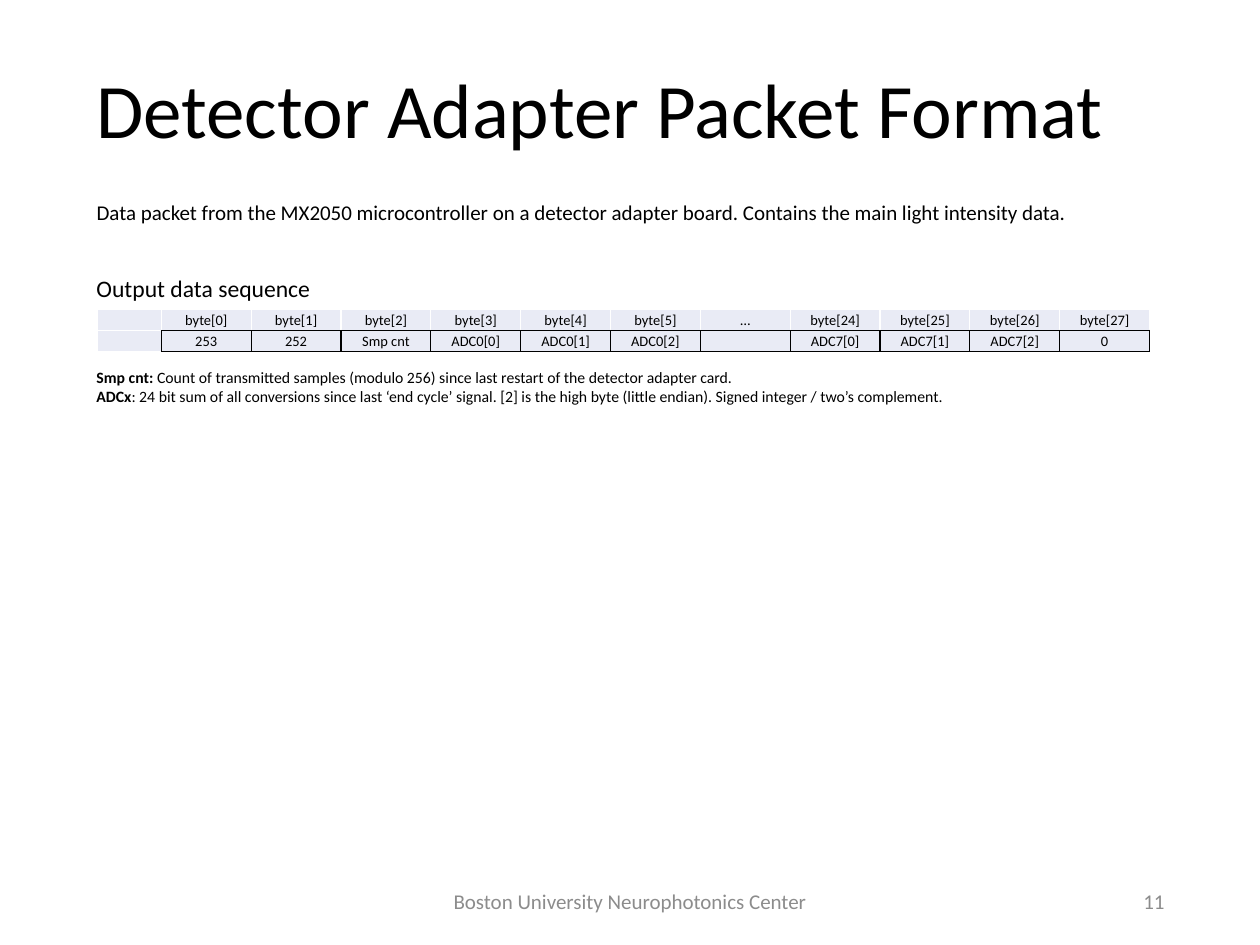
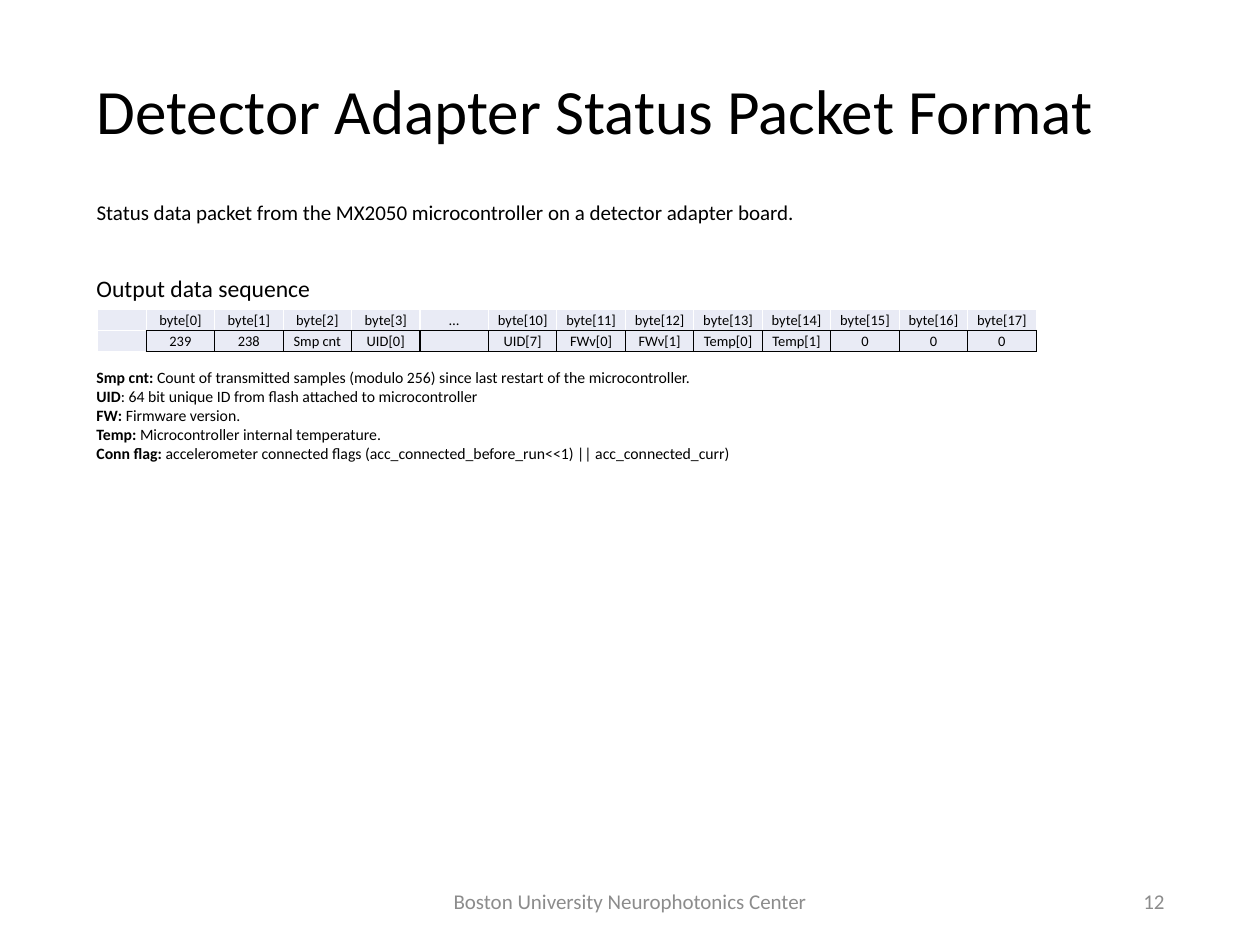
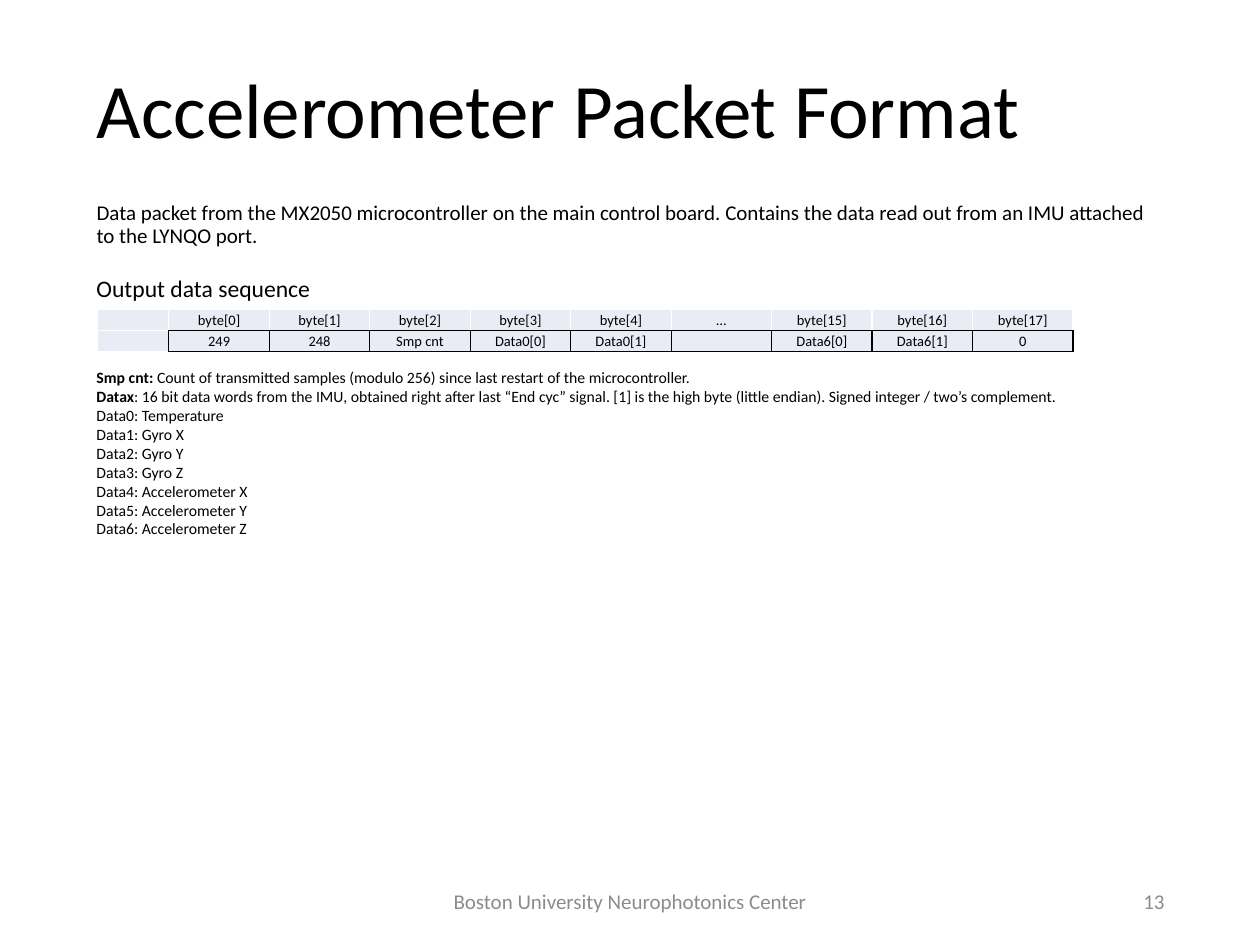
from dataclasses import dataclass

from lxml.etree import SubElement
from pptx import Presentation
from pptx.dml.color import RGBColor
from pptx.enum.text import MSO_ANCHOR as Anchor, MSO_AUTO_SIZE as AutoSize, PP_ALIGN as Align
from pptx.oxml.ns import qn
from pptx.util import Cm, Pt

FONT = "Calibri"
BLACK, WHITE, GREY, CELL = "000000", "FFFFFF", "8C8C8C", "E9EBF5"
SLIDE_WIDTH, SLIDE_HEIGHT = 33.83, 25.37
MARGIN, CONTENT_WIDTH = 2.34, 29.18
FOOTER_TOP, FOOTER_HEIGHT = 23.52, 1.35
ROW_HEIGHT = 0.56
LABEL_RATIO = 0.71
CELL_INSET = 0.03
FIRST_NUMBER = 11
FOOTER = "Boston University Neurophotonics Center"


@dataclass
class Packet:
    title: str
    title_size: float
    summary: str
    table_width: float
    fields: list
    legend_width: float
    legend_height: float
    legend: list


SAMPLE_COUNT = ("Smp cnt: ", "Count of transmitted samples (modulo 256) since last restart of the microcontroller.")

PACKETS = [
    Packet(
        "Detector Adapter Packet Format", 58.6,
        "Data packet from the MX2050 microcontroller on a detector adapter board. "
        "Contains the main light intensity data.",
        28.25,
        [(0, "253"), (1, "252"), (2, "Smp cnt"), (3, "ADC0[0]"), (4, "ADC0[1]"), (5, "ADC0[2]"),
         (None, ""), (24, "ADC7[0]"), (25, "ADC7[1]"), (26, "ADC7[2]"), (27, "0")],
        24.16, 1.28,
        [("Smp cnt: ", "Count of transmitted samples (modulo 256) since last restart of the detector adapter card."),
         ("ADCx", ": 24 bit sum of all conversions since last ‘end cycle’ signal. "
                  "[2] is the high byte (little endian). Signed integer / two’s complement.")],
    ),
    Packet(
        "Detector Adapter Status Packet Format", 48,
        "Status data packet from the MX2050 microcontroller on a detector adapter board.",
        25.2,
        [(0, "239"), (1, "238"), (2, "Smp cnt"), (3, "UID[0]"), (None, ""), (10, "UID[7]"),
         (11, "FWv[0]"), (12, "FWv[1]"), (13, "Temp[0]"), (14, "Temp[1]"), (15, "0"), (16, "0"), (17, "0")],
        27, 2.82,
        [SAMPLE_COUNT,
         ("UID", ": 64 bit unique ID from flash attached to microcontroller"),
         ("FW: ", "Firmware version."),
         ("Temp: ", "Microcontroller internal temperature."),
         ("Conn flag: ", "accelerometer connected flags (acc_connected_before_run<<1) || acc_connected_curr)")],
    ),
    Packet(
        "Accelerometer Packet Format", 58.6,
        "Data packet from the MX2050 microcontroller on the main control board. "
        "Contains the data read out from an IMU attached to the LYNQO port.",
        26.19,
        [(0, "249"), (1, "248"), (2, "Smp cnt"), (3, "Data0[0]"), (4, "Data0[1]"),
         (None, ""), (15, "Data6[0]"), (16, "Data6[1]"), (17, "0")],
        27, 4.88,
        [SAMPLE_COUNT,
         ("Datax", ": 16 bit data words from the IMU, obtained right after last “End cyc” signal. "
                   "[1] is the high byte (little endian). Signed integer / two’s complement."),
         ("", "Data0: Temperature"), ("", "Data1: Gyro X"), ("", "Data2: Gyro Y"), ("", "Data3: Gyro Z"),
         ("", "Data4: Accelerometer X"), ("", "Data5: Accelerometer Y"), ("", "Data6: Accelerometer Z")],
    ),
]


def rgb(value):
    return RGBColor.from_string(value)


def add_run(paragraph, text, size, color=BLACK, bold=False):
    run = paragraph.add_run()
    run.text = text
    run.font.name = FONT
    run.font.size = Pt(size)
    run.font.bold = bold
    run.font.color.rgb = rgb(color)


def fill_placeholder(placeholder, box, text, size, anchor):
    placeholder.left, placeholder.top, placeholder.width, placeholder.height = map(Cm, box)
    frame = placeholder.text_frame
    frame.word_wrap = True
    frame.auto_size = AutoSize.NONE
    frame.vertical_anchor = anchor
    paragraph = frame.paragraphs[0]
    properties = paragraph._p.get_or_add_pPr()
    properties.set("marL", "0")
    properties.set("indent", "0")
    SubElement(properties, qn("a:buNone"))
    paragraph.alignment = Align.LEFT
    paragraph.line_spacing = 0.9
    paragraph.space_before = Pt(0)
    add_run(paragraph, text, size)


def add_text(slide, box, lines, size, color=BLACK, align=Align.LEFT, anchor=Anchor.TOP, grow=True):
    frame = slide.shapes.add_textbox(*map(Cm, box)).text_frame
    frame.word_wrap = True
    frame.auto_size = AutoSize.SHAPE_TO_FIT_TEXT if grow else AutoSize.NONE
    frame.vertical_anchor = anchor
    for index, (term, meaning) in enumerate(lines):
        paragraph = frame.add_paragraph() if index else frame.paragraphs[0]
        paragraph.alignment = align
        if term:
            add_run(paragraph, term, size, color, bold=True)
        add_run(paragraph, meaning, size, color)


def add_footer(slide, number):
    for left, width, text, align in (
        (11.2, 11.43, FOOTER, Align.CENTER),
        (23.9, 7.62, str(number), Align.RIGHT),
    ):
        add_text(slide, (left, FOOTER_TOP, width, FOOTER_HEIGHT), [("", text)], 16,
                 GREY, align, Anchor.MIDDLE, grow=False)


def set_borders(cell, colors):
    properties = cell._tc.get_or_add_tcPr()
    for side, color in zip(("L", "R", "T", "B"), colors):
        line = SubElement(properties, qn(f"a:ln{side}"), w=str(Pt(1)))
        SubElement(SubElement(line, qn("a:solidFill")), qn("a:srgbClr"), val=color)


def format_cell(cell, text, borders):
    set_borders(cell, borders)
    cell.fill.solid()
    cell.fill.fore_color.rgb = rgb(CELL)
    cell.vertical_anchor = Anchor.MIDDLE
    cell.margin_left = cell.margin_right = cell.margin_top = Cm(CELL_INSET)
    cell.margin_bottom = 0
    paragraph = cell.text_frame.paragraphs[0]
    paragraph.alignment = Align.CENTER
    if text:
        add_run(paragraph, text, 11)
    else:
        SubElement(paragraph._p, qn("a:endParaRPr"), sz="1100")


def add_byte_table(slide, left, top, width, fields):
    table = slide.shapes.add_table(
        2, len(fields) + 1, Cm(left), Cm(top), Cm(width), Cm(2 * ROW_HEIGHT)).table
    table.first_row = table.horz_banding = False
    byte_width = width / (len(fields) + LABEL_RATIO)
    for index, column in enumerate(table.columns):
        column.width = Cm(byte_width if index else byte_width * LABEL_RATIO)
    for row in table.rows:
        row.height = Cm(ROW_HEIGHT)
    format_cell(table.cell(0, 0), "", [WHITE] * 4)
    format_cell(table.cell(1, 0), "", [WHITE, BLACK, WHITE, WHITE])
    for column, (position, value) in enumerate(fields, 1):
        heading = "…" if position is None else f"byte[{position}]"
        format_cell(table.cell(0, column), heading, [WHITE, WHITE, WHITE, BLACK])
        format_cell(table.cell(1, column), value, [BLACK] * 4)


def add_packet_slide(deck, packet, number):
    slide = deck.slides.add_slide(deck.slide_layouts[1])
    title, summary = slide.placeholders
    fill_placeholder(title, (MARGIN, 1.35, CONTENT_WIDTH, 3.4),
                     packet.title, packet.title_size, Anchor.MIDDLE)
    fill_placeholder(summary, (MARGIN, 5.31, CONTENT_WIDTH, 1.7),
                     packet.summary, 16, Anchor.TOP)
    add_footer(slide, number)
    add_text(slide, (MARGIN, 7.24, 11.07, 1.02), [("", "Output data sequence")], 18)
    add_text(slide, (MARGIN, 9.75, packet.legend_width, packet.legend_height), packet.legend, 12)
    add_byte_table(slide, 2.62, 8.31, packet.table_width, packet.fields)


def main():
    deck = Presentation()
    deck.slide_width, deck.slide_height = Cm(SLIDE_WIDTH), Cm(SLIDE_HEIGHT)
    for number, packet in enumerate(PACKETS, FIRST_NUMBER):
        add_packet_slide(deck, packet, number)
    deck.save("out.pptx")


if __name__ == "__main__":
    main()
